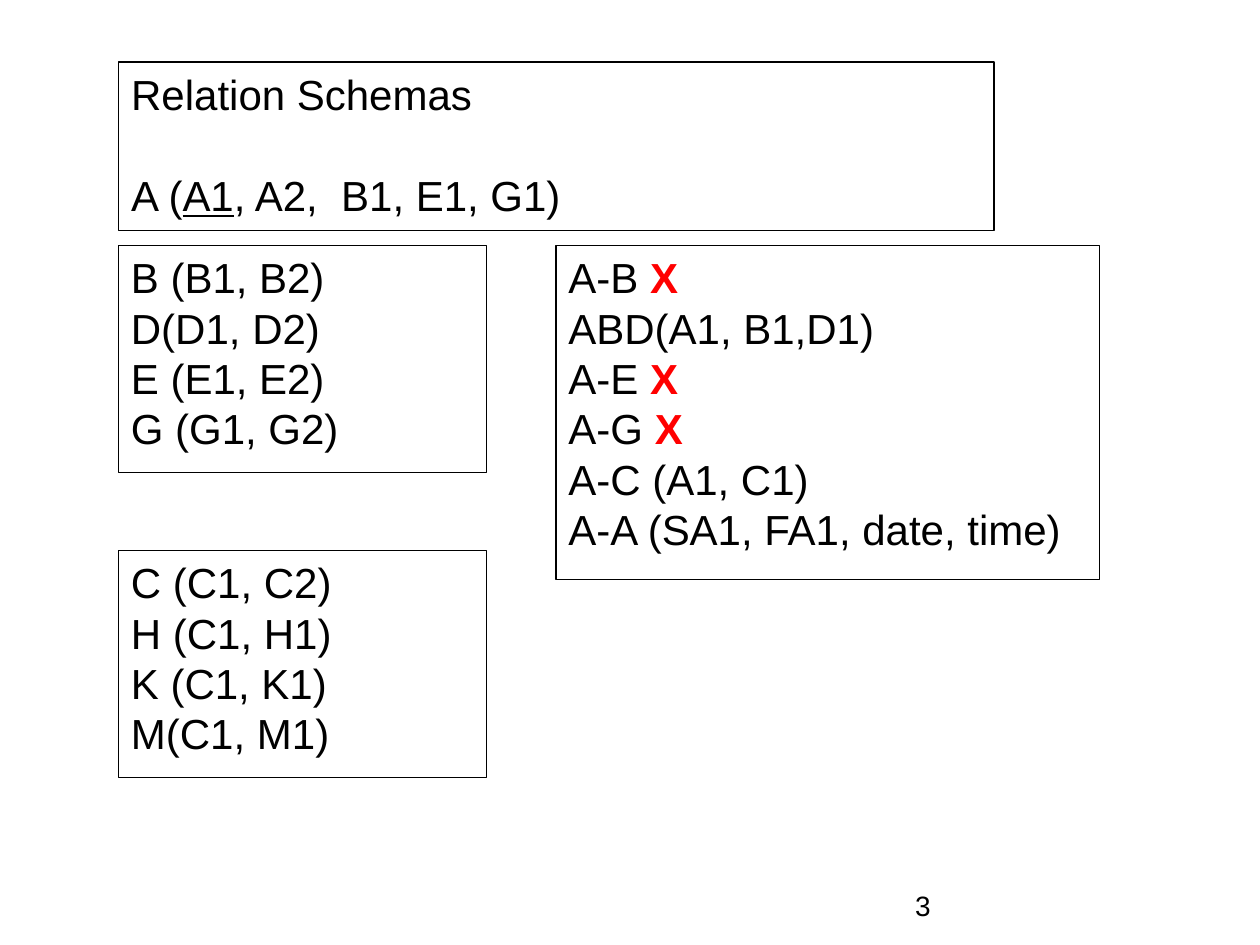
import pptx
import pptx.dml.color
import pptx.enum.shapes
import pptx.enum.text
import pptx.util
from pptx.util import Cm

LEFT = 2.39
COLUMN_WIDTH = 7.42
LIST_HEIGHT = 4.57
ROW_TOP = 4.95
CROSS = ("X", "cross")


def color(hex_string):
    return pptx.dml.color.RGBColor.from_string(hex_string)


def place(shape, left, top, width, height):
    shape.left, shape.top = Cm(left), Cm(top)
    shape.width, shape.height = Cm(width), Cm(height)


def outline(shape):
    shape.fill.solid()
    shape.fill.fore_color.rgb = color("FFFFFF")
    shape.line.color.rgb = color("000000")
    shape.line.width = pptx.util.Pt(0.75)


def write_lines(shape, lines, size=24):
    frame = shape.text_frame
    frame.word_wrap = True
    frame.auto_size = pptx.enum.text.MSO_AUTO_SIZE.NONE
    frame.vertical_anchor = pptx.enum.text.MSO_ANCHOR.TOP
    for index, line in enumerate(lines):
        paragraph = frame.add_paragraph() if index else frame.paragraphs[0]
        paragraph.alignment = pptx.enum.text.PP_ALIGN.LEFT
        paragraph.font.name = "Arial"
        paragraph.font.size = pptx.util.Pt(size)
        paragraph.font.color.rgb = color("000000")
        for text, style in line:
            run = paragraph.add_run()
            run.text = text
            if style == "key":
                run.font.underline = True
            elif style == "cross":
                run.font.bold = True
                run.font.color.rgb = color("FF0000")


def plain(*texts):
    return [[(text, None)] for text in texts]


def add_heading(slide, left, top, width, height):
    title = slide.shapes.title
    place(title, left, top, width, height)
    outline(title)
    schema = [("A (", None), ("A1", "key"), (", A2,  B1, E1, G1)", None)]
    write_lines(title, plain("Relation Schemas") + [schema])
    title.text_frame.paragraphs[1].space_before = pptx.util.Pt(28.8)


def add_schema_box(slide, left, top, width, height, lines):
    box = slide.shapes.add_shape(
        pptx.enum.shapes.MSO_SHAPE.RECTANGLE, Cm(left), Cm(top), Cm(width), Cm(height))
    box.shadow.inherit = False
    outline(box)
    write_lines(box, lines)


def add_page_number(slide, left, top, width, height, number):
    box = slide.shapes.add_textbox(Cm(left), Cm(top), Cm(width), Cm(height))
    write_lines(box, plain(number), size=16)


def main():
    presentation = pptx.Presentation()
    presentation.slide_width, presentation.slide_height = Cm(25.4), Cm(19.05)
    slide = presentation.slides.add_slide(presentation.slide_layouts.get_by_name("Title Only"))

    add_heading(slide, LEFT, 1.25, 17.65, 3.4)
    add_schema_box(slide, LEFT, ROW_TOP, COLUMN_WIDTH, LIST_HEIGHT,
                   plain("B (B1, B2)", "D(D1, D2)", "E (E1, E2)", "G (G1, G2)"))
    add_schema_box(slide, LEFT, 11.1, COLUMN_WIDTH, LIST_HEIGHT,
                   plain("C (C1, C2)", "H (C1, H1)", "K (C1, K1)", "M(C1, M1)"))
    relationships = [
        [("A-B ", None), CROSS],
        [("ABD(A1, B1,D1)", None)],
        [("A-E ", None), CROSS],
        [("A-G ", None), CROSS],
        [("A-C (A1, C1)", None)],
        [("A-A (SA1, FA1, date, time)", None)],
    ]
    add_schema_box(slide, 11.21, ROW_TOP, 10.95, 6.73, relationships)
    add_page_number(slide, 18.2, 17.78, 5.29, 1.27, "3")

    presentation.save("out.pptx")


if __name__ == "__main__":
    main()
